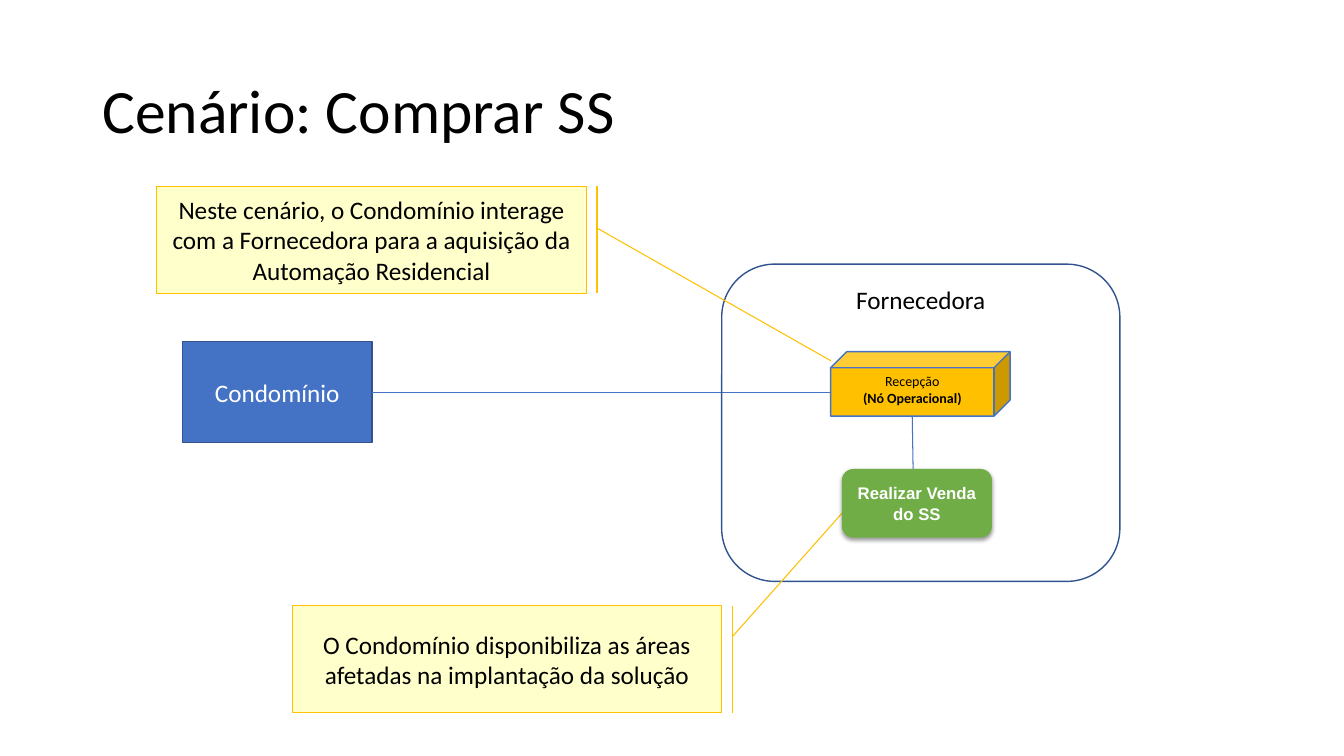
"""Build the slide on the scenario of buying SS."""
import pptx
import pptx.dml.color
import pptx.enum.shapes
import pptx.enum.text
import pptx.oxml
import pptx.oxml.ns
import pptx.util

Pt = pptx.util.Pt
Kind = pptx.enum.shapes.MSO_SHAPE
Link = pptx.enum.shapes.MSO_CONNECTOR
Align = pptx.enum.text.PP_ALIGN
Anchor = pptx.enum.text.MSO_ANCHOR
HUES = {"black": "000000", "white": "FFFFFF", "blue": "4472C4", "navy": "31538F",
        "gold": "FFC000", "cream": "FFFFCC", "green": "70AD47"}


def hue(name):
    return pptx.dml.color.RGBColor.from_string(HUES[name])


def write(shape, text, size=18, color="black", font="Calibri", bold=(False, False),
          align=Align.CENTER, anchor=Anchor.MIDDLE, space=None):
    frame = shape.text_frame
    frame.word_wrap = True
    frame.vertical_anchor = anchor
    frame.text = text
    for par, heavy in zip(frame.paragraphs, bold):
        par.alignment = align
        par.line_spacing = space
        par.font.size = Pt(size)
        par.font.name = font
        par.font.bold = heavy
        par.font.color.rgb = hue(color)


deck = pptx.Presentation()
deck.slide_width, deck.slide_height = Pt(960), Pt(540)
slide = deck.slides.add_slide(deck.slide_layouts[6])
shapes = slide.shapes

title = shapes.add_textbox(Pt(66), Pt(28.8), Pt(828), Pt(104.4))
write(title, "Cenário: Comprar SS", size=44, align=Align.LEFT, space=0.9)

note = Kind.LINE_CALLOUT_1_BORDER_AND_ACCENT_BAR
parts = [
    (Kind.CUBE, (593.3, 251.2, 128.2, 46), [0.25], "gold", "blue", 1,
     "Recepção\n(Nó Operacional)",
     {"size": 10, "bold": (False, True), "anchor": Anchor.TOP}),
    (Kind.RECTANGLE, (130.3, 244, 135.4, 72), [], "blue", "navy", 1,
     "Condomínio", {"color": "white"}),
    (Kind.ROUNDED_RECTANGLE, (515.5, 188.7, 284.4, 226.6), [0.167], None, "navy", 1,
     "Fornecedora", {"anchor": Anchor.TOP}),
    (note, (112, 133.1, 306.8, 76.5), [0.39, 1.025, 1.63, 1.57], "cream", "gold", 0.75,
     "Neste cenário, o Condomínio interage com a Fornecedora para a aquisição "
     "da Automação Residencial", {}),
    (note, (208.7, 432.6, 306.8, 76.5), [0.29, 1.025, -0.88, 1.284], "cream", "gold", 0.75,
     "O Condomínio disponibiliza as áreas afetadas na implantação da solução", {}),
    (Kind.ROUNDED_RECTANGLE, (601.4, 335, 107.2, 49), [0.167], "green", None, 0,
     "Realizar Venda do SS",
     {"size": 12, "color": "white", "font": "Arial", "bold": (True,)}),
]
links = {
    1: (Link.CURVE, (265.7, 280.2, 593.3, 280.2)),
    4: (Link.STRAIGHT, (651.6, 297.2, 652.3, 338.4)),
}

for step, (kind, box, bends, fill, edge, width, text, style) in enumerate(parts):
    shape = shapes.add_shape(kind, *map(Pt, box))
    shape.shadow.inherit = False
    for spot, bend in enumerate(bends):
        shape.adjustments[spot] = bend
    if fill:
        shape.fill.solid()
        shape.fill.fore_color.rgb = hue(fill)
    else:
        shape.fill.background()
    if edge:
        shape.line.color.rgb = hue(edge)
        shape.line.width = Pt(width)
    else:
        shape.line.fill.background()
    write(shape, text, **style)
    if step in links:
        form, ends = links[step]
        link = shapes.add_connector(form, *map(Pt, ends))
        link.line.color.rgb = hue("blue")
        link.line.width = Pt(0.75)
        link._element.spPr.append(pptx.oxml.parse_xml(
            f'<a:effectLst {pptx.oxml.ns.nsdecls("a")}/>'))

glow = pptx.oxml.parse_xml(
    f'<a:outerShdw {pptx.oxml.ns.nsdecls("a")} blurRad="{Pt(3.1)}" dist="{Pt(1.6)}" '
    f'dir="5400000" rotWithShape="0"><a:srgbClr val="{HUES["black"]}">'
    '<a:alpha val="38000"/></a:srgbClr></a:outerShdw>')
shape._element.spPr.find(pptx.oxml.ns.qn("a:effectLst")).append(glow)

deck.save("out.pptx")
